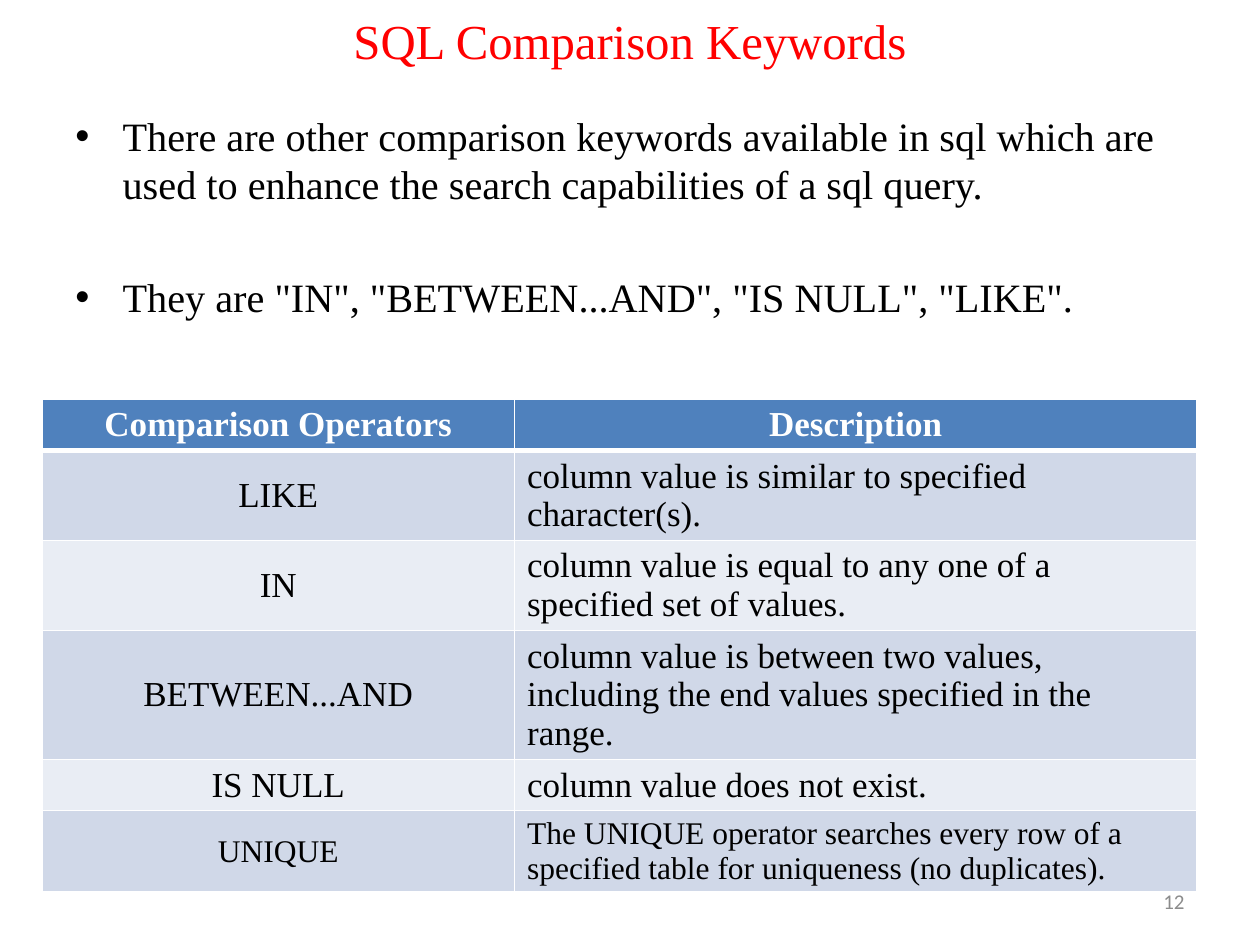
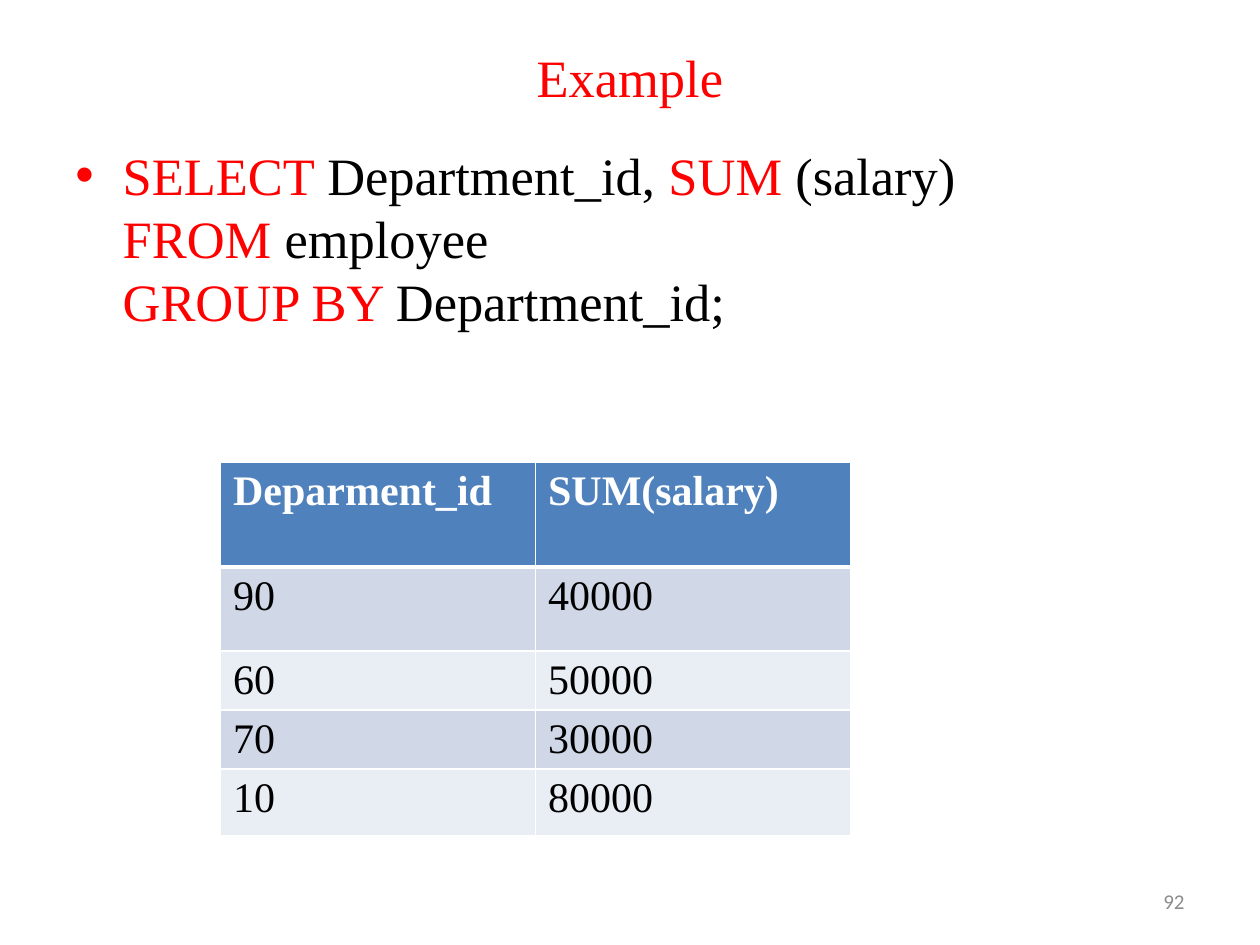
from lxml.etree import SubElement
from pptx import Presentation
from pptx.dml.color import RGBColor
from pptx.enum.text import MSO_ANCHOR, MSO_AUTO_SIZE, PP_ALIGN
from pptx.oxml import parse_xml
from pptx.oxml.ns import nsdecls, qn
from pptx.util import Pt

RED = RGBColor(0xFF, 0x00, 0x00)
BLACK = RGBColor(0x00, 0x00, 0x00)
WHITE = RGBColor(0xFF, 0xFF, 0xFF)
GREY = RGBColor(0x8C, 0x8C, 0x8C)
HEADER_BLUE = RGBColor(0x4F, 0x81, 0xBD)
BANDS = (RGBColor(0xD0, 0xD8, 0xE8), RGBColor(0xE9, 0xED, 0xF4))

SERIF = "Times New Roman"
LEFT, WIDTH = 36, 648
BULLET_INDENT = 27
TIGHT_MARGIN, TOP_MARGIN = 0.4, 3.6


class Deck:
    """Holds the shared style and the slide being filled."""

    def __init__(self):
        self.presentation = Presentation()
        self.presentation.slide_width = Pt(720)
        self.presentation.slide_height = Pt(540)
        self.slide = None

    def add_run(self, paragraph, text, size, color=BLACK, name=SERIF, bold=False):
        run = paragraph.add_run()
        run.text = text
        formats = {"size": Pt(size), "name": name, "bold": bold}
        for attribute, value in formats.items():
            setattr(run.font, attribute, value)
        run.font.color.rgb = color

    def add_box(self, left, top, width, height, anchor=MSO_ANCHOR.TOP):
        shape = self.slide.shapes.add_textbox(Pt(left), Pt(top), Pt(width), Pt(height))
        shape.text_frame.word_wrap = True
        shape.text_frame.vertical_anchor = anchor
        return shape.text_frame

    def start_slide(self, title, number, top, height, size):
        """Add a slide with its title and its number."""
        self.slide = self.presentation.slides.add_slide(self.presentation.slide_layouts[5])
        shape = self.slide.shapes.title
        place = {"left": LEFT, "top": top, "width": WIDTH, "height": height}
        for attribute, value in place.items():
            setattr(shape, attribute, Pt(value))
        shape.text_frame.auto_size = MSO_AUTO_SIZE.NONE
        shape.text_frame.vertical_anchor = MSO_ANCHOR.MIDDLE
        paragraph = shape.text_frame.paragraphs[0]
        paragraph.alignment = PP_ALIGN.CENTER
        self.add_run(paragraph, title, size, RED)

        paragraph = self.add_box(516, 500.5, 168, 28.8, MSO_ANCHOR.MIDDLE).paragraphs[0]
        paragraph.alignment = PP_ALIGN.RIGHT
        self.add_run(paragraph, str(number), 12, GREY, "Calibri")

    def add_bullets(self, bullets, top, height, size, gap=0):
        """Each bullet is a list of lines, each line a list of (text, color)."""
        frame = self.add_box(LEFT, top, WIDTH, height)
        for index, lines in enumerate(bullets):
            paragraph = frame.add_paragraph() if index else frame.paragraphs[0]
            paragraph.space_before = Pt(gap if index else 0)
            properties = paragraph._p.get_or_add_pPr()
            properties.set("marL", str(Pt(BULLET_INDENT)))
            properties.set("indent", str(-Pt(BULLET_INDENT)))
            SubElement(properties, qn("a:buFont"), typeface="Arial")
            SubElement(properties, qn("a:buChar"), char="•")
            for line_index, line in enumerate(lines):
                if line_index:
                    paragraph.add_line_break()
                for text, color in line:
                    self.add_run(paragraph, text, size, color)

    def set_borders(self, cell, top, bottom):
        """White cell borders; the schema puts them before the fill."""
        properties = cell._tc.get_or_add_tcPr()
        widths = {"lnL": 1, "lnR": 1, "lnT": top, "lnB": bottom}
        for index, (tag, width) in enumerate(widths.items()):
            properties.insert(index, parse_xml(
                f'<a:{tag} {nsdecls("a")} w="{Pt(width)}"><a:solidFill>'
                f'<a:srgbClr val="{WHITE}"/></a:solidFill></a:{tag}>'))

    def add_table(self, rows, left, top, column_widths, row_heights, row_sizes,
                  centered=False):
        """A header row over banded rows; centered also centres the first column."""
        table = self.slide.shapes.add_table(
            len(rows), len(column_widths), Pt(left), Pt(top),
            Pt(sum(column_widths)), Pt(sum(row_heights))).table
        cell_formats = {
            "vertical_anchor": MSO_ANCHOR.MIDDLE if centered else MSO_ANCHOR.TOP,
            "margin_top": Pt(TIGHT_MARGIN if centered else TOP_MARGIN),
            "margin_bottom": Pt(TIGHT_MARGIN),
        }
        for column, width in zip(table.columns, column_widths):
            column.width = Pt(width)
        for row_index, (texts, height, size) in enumerate(zip(rows, row_heights, row_sizes)):
            header = row_index == 0
            table.rows[row_index].height = Pt(height)
            for column_index, text in enumerate(texts):
                cell = table.cell(row_index, column_index)
                for attribute, value in cell_formats.items():
                    setattr(cell, attribute, value)
                cell.fill.solid()
                cell.fill.fore_color.rgb = HEADER_BLUE if header else BANDS[(row_index - 1) % 2]
                self.set_borders(cell, 3 if row_index == 1 else 1, 3 if header else 1)
                paragraph = cell.text_frame.paragraphs[0]
                if centered and (header or column_index == 0):
                    paragraph.alignment = PP_ALIGN.CENTER
                self.add_run(paragraph, text, size, WHITE if header else BLACK, bold=header)


def add_keywords_slide(deck):
    deck.start_slide("SQL Comparison Keywords", 12, top=0, height=45.6, size=27.9)
    sentences = (
        "There are other comparison keywords available in sql which are used to "
        "enhance the search capabilities of a sql query.",
        'They are "IN", "BETWEEN...AND", "IS NULL", "LIKE".',
    )
    deck.add_bullets([[[(sentence, BLACK)]] for sentence in sentences],
                     top=60, height=422.5, size=23, gap=37)
    operators = [
        ("Comparison Operators", "Description"),
        ("LIKE", "column value is similar to specified character(s)."),
        ("IN", "column value is equal to any one of a specified set of values."),
        ("BETWEEN...AND", "column value is between two values, including the end "
                          "values specified in the range."),
        ("IS NULL", "column value does not exist."),
        ("UNIQUE", "The UNIQUE operator searches every row of a specified table "
                   "for uniqueness (no duplicates)."),
    ]
    deck.add_table(operators, 24, 228.25, (270, 390), (29.25, 51.4, 51.4, 73.8, 29.25, 46.6),
                   [20] * 5 + [18], centered=True)


def add_example_slide(deck):
    deck.start_slide("Example", 92, top=21.5, height=45, size=30)
    query = [
        [("SELECT ", RED), ("Department_id, ", BLACK), ("SUM", RED), (" (salary)", BLACK)],
        [("FROM ", RED), ("employee", BLACK)],
        [("GROUP BY ", RED), ("Department_id;", BLACK)],
    ]
    deck.add_bullets([query], top=78, height=438, size=30)
    salaries = [("Deparment_id", "SUM(salary)"), ("90", "40000"), ("60", "50000"),
                ("70", "30000"), ("10", "80000")]
    deck.add_table(salaries, 126, 264, (180, 180), (60, 48, 33.75, 33.75, 38), [24] * 5)


def main():
    deck = Deck()
    add_keywords_slide(deck)
    add_example_slide(deck)
    deck.presentation.save("out.pptx")


if __name__ == "__main__":
    main()
